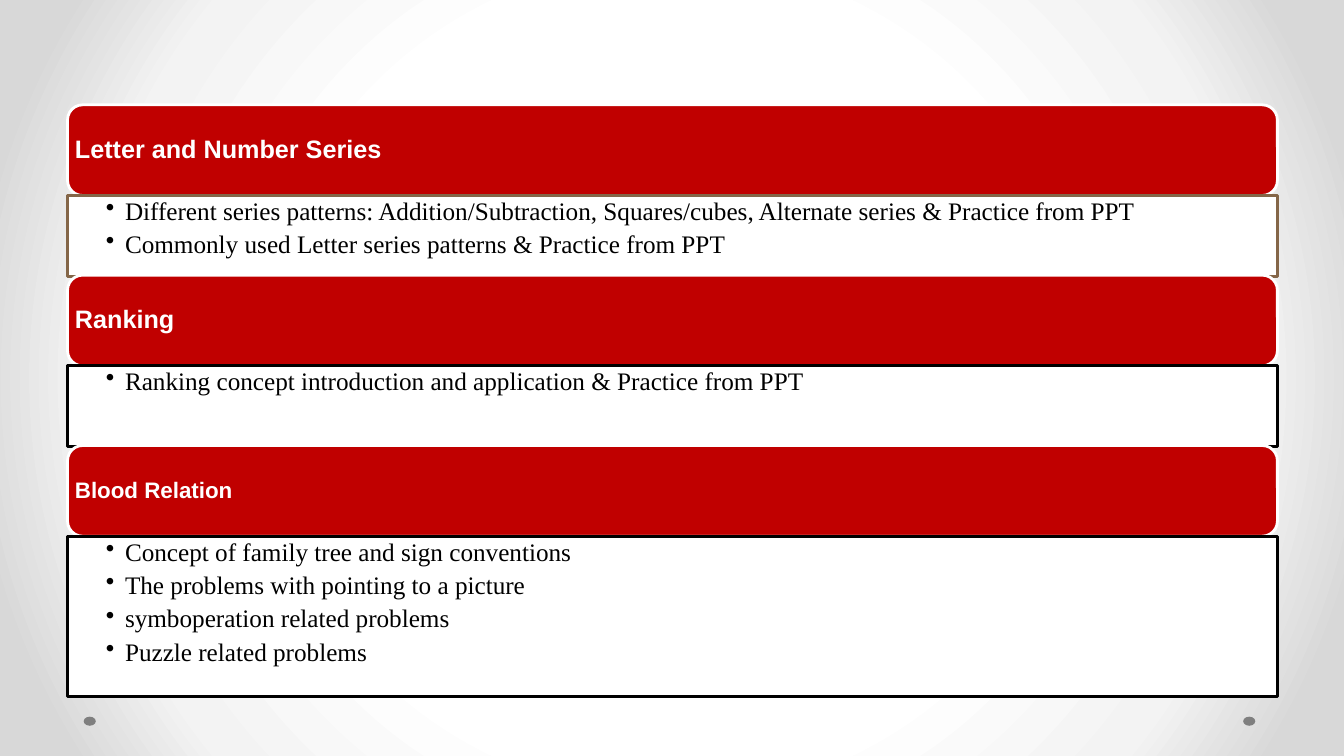
from pptx import Presentation
from pptx.dml.color import RGBColor
from pptx.enum.shapes import MSO_SHAPE as Shape
from pptx.enum.text import MSO_ANCHOR as Anchor, PP_ALIGN as Align
from pptx.oxml import parse_xml
from pptx.oxml.ns import nsdecls, qn
from pptx.util import Inches, Pt

RED = RGBColor(0xC0, 0x00, 0x00)
WHITE = RGBColor(0xFF, 0xFF, 0xFF)
BLACK = RGBColor(0x00, 0x00, 0x00)
BROWN = RGBColor(0x84, 0x66, 0x48)
GREY = RGBColor(0x7F, 0x7F, 0x7F)
STOPS = [(0, "FFFFFF"), (50, "FFFFFF"), (76, "F3F3F3"), (92, "D8D8D8"), (100, "D8D8D8")]

LEFT, TOP, WIDTH = 0.67, 1.04, 12
HEAD, BODY = 0.9, 0.8
STEP = 1.69  # a header and a one-unit panel, which overlap slightly

# heading, heading size, frame colour, panel height, points
TOPICS = [
    ("Letter and Number Series", 18, BROWN, BODY, [
        "Different series patterns: Addition/Subtraction, Squares/cubes, "
        "Alternate series & Practice from PPT",
        "Commonly used Letter series patterns & Practice from PPT"]),
    ("Ranking", 18, BLACK, BODY, [
        "Ranking concept introduction and application & Practice from PPT"]),
    ("Blood Relation", 16, BLACK, 1.59, [
        "Concept of family tree and sign conventions",
        "The problems with pointing to a picture",
        "symboperation related problems",
        "Puzzle related problems"]),
]


class Page:
    def __init__(self, slide):
        self.slide = slide

    def backdrop(self):
        """Fill the background with a circular gradient."""
        self.slide.background.fill.gradient()
        grad = next(self.slide.element.iter(qn("a:gradFill")))
        stops = "".join(
            f'<a:gs pos="{pos * 1000}"><a:srgbClr val="{color}"/></a:gs>'
            for pos, color in STOPS)
        grad.getparent().replace(grad, parse_xml(
            f'<a:gradFill {nsdecls("a")} rotWithShape="1"><a:gsLst>{stops}</a:gsLst>'
            '<a:path path="circle"><a:fillToRect l="50000" t="50000" r="50000" b="50000"/>'
            '</a:path></a:gradFill>'))

    def block(self, kind, box, fill, line=None):
        shape = self.slide.shapes.add_shape(kind, *map(Inches, box))
        shape.shadow.inherit = False
        shape.fill.solid()
        shape.fill.fore_color.rgb = fill
        if line is None:
            shape.line.fill.background()
        else:
            shape.line.color.rgb = line
            shape.line.width = Pt(2)
        return shape

    def label(self, shape, lines, font, size, color, after, pads, anchor, bold=False):
        """Set the lines as left-aligned paragraphs; pads are left, top, right, bottom."""
        frame = shape.text_frame
        frame.text = "\n".join(lines)
        frame.word_wrap = True
        frame.vertical_anchor = anchor
        (frame.margin_left, frame.margin_top,
         frame.margin_right, frame.margin_bottom) = map(Inches, pads)
        for para in frame.paragraphs:
            para.alignment = Align.LEFT
            para.line_spacing = 0.9
            para.space_after = Pt(after)
            for run in para.runs:
                run.font.name = font
                run.font.size = Pt(size)
                run.font.bold = bold
                run.font.color.rgb = color
        return frame

    def header(self, top, text, size):
        bar = self.block(Shape.ROUNDED_RECTANGLE, (LEFT, top, WIDTH, HEAD), RED, WHITE)
        # The rounded corners add 0.04 inch to each inset
        self.label(bar, [text], "Arial", size, WHITE, 0, [0.03] * 4, Anchor.MIDDLE, True)

    def points(self, top, height, lines, edge):
        panel = self.block(Shape.RECTANGLE, (LEFT, top, WIDTH, height), WHITE, edge)
        frame = self.label(panel, lines, "Times New Roman", 18, BLACK, 4.4,
                           (0.38, 0.03, 0.14, 0.03), Anchor.TOP)
        for para in frame.paragraphs:
            props = para._p.get_or_add_pPr()
            props.set("marL", str(Inches(0.19)))
            props.set("indent", str(-Inches(0.19)))
            props.append(parse_xml(
                f'<a:buClr {nsdecls("a")}><a:srgbClr val="{BLACK}"/></a:buClr>'))
            props.append(parse_xml(f'<a:buChar {nsdecls("a")} char="•"/>'))


def main():
    deck = Presentation()
    deck.slide_width, deck.slide_height = Inches(13.33), Inches(7.5)
    page = Page(deck.slides.add_slide(deck.slide_layouts[6]))
    page.backdrop()
    for left in (12.33, 0.83):
        page.block(Shape.OVAL, (left, 7.11, 0.12, 0.09), GREY)

    for row, (title, size, edge, height, lines) in enumerate(TOPICS):
        top = TOP + row * STEP
        page.header(top, title, size)
        page.points(top + HEAD, height, lines, edge)
    deck.save("out.pptx")


if __name__ == "__main__":
    main()
